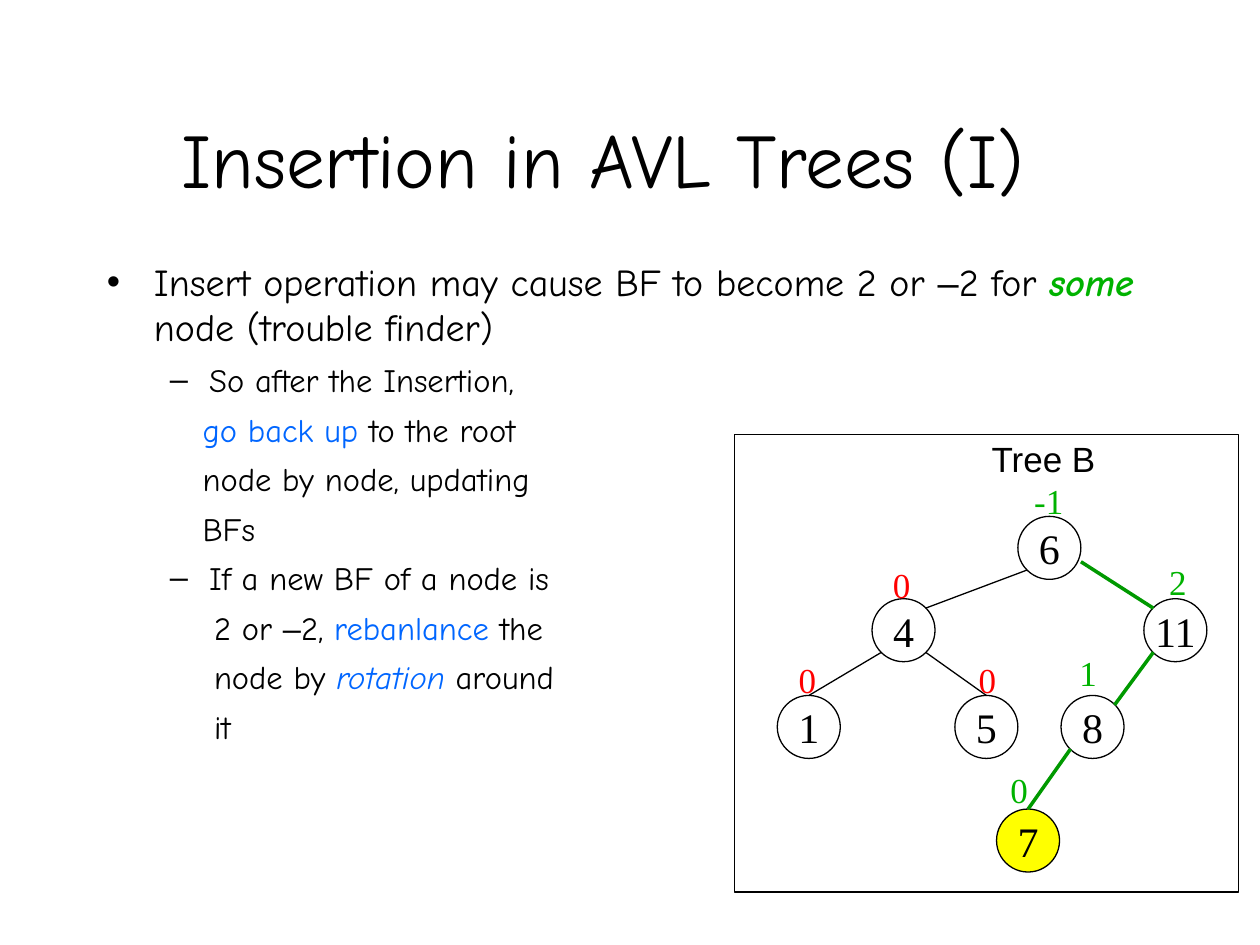
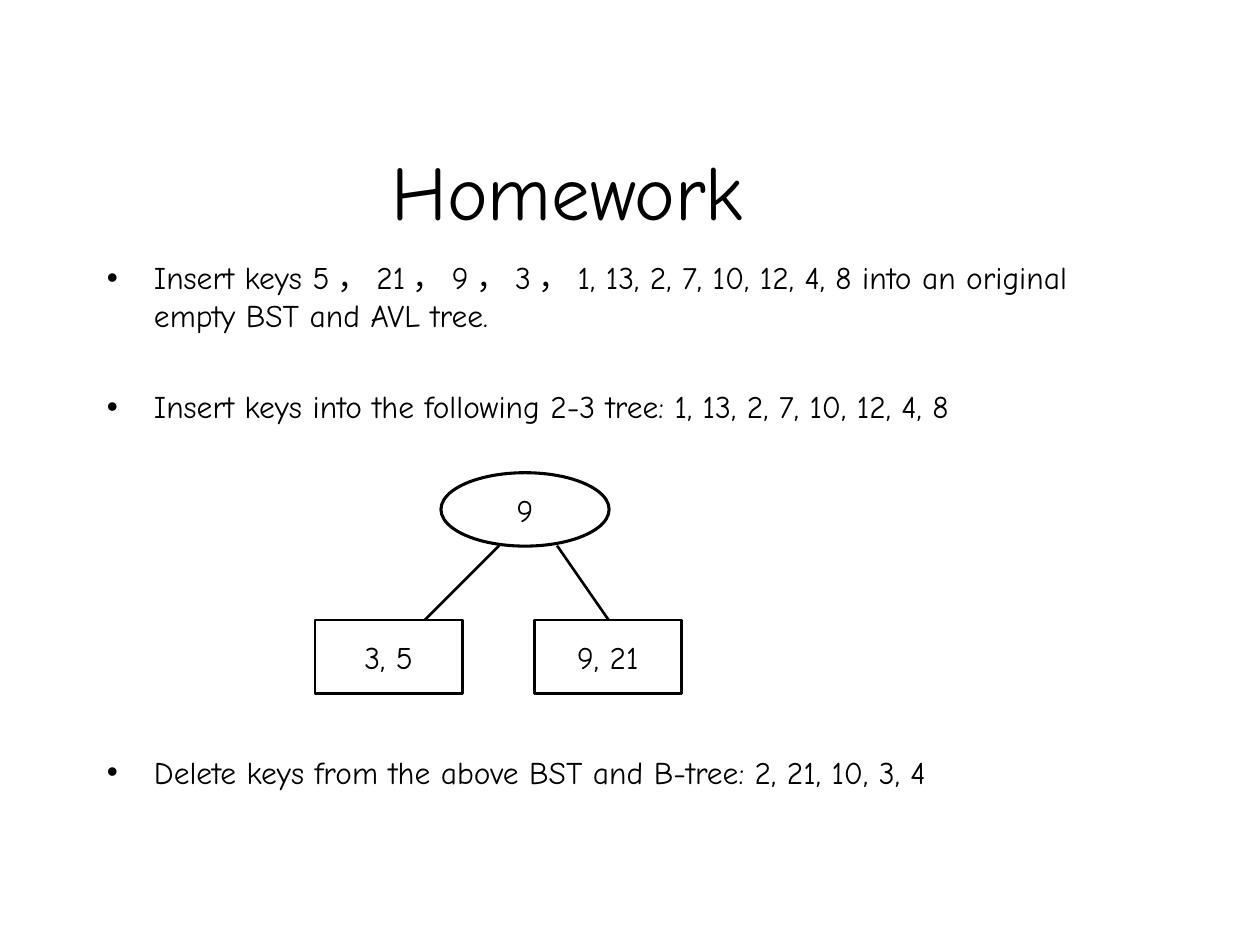
"""Build two lecture slides on AVL insertion and search tree homework."""
from pptx import Presentation
from pptx.dml.color import RGBColor
from pptx.enum.shapes import MSO_CONNECTOR as Connector, MSO_SHAPE as Shape
from pptx.enum.text import MSO_ANCHOR as Anchor, MSO_AUTO_SIZE as AutoSize, PP_ALIGN as Align
from pptx.oxml.ns import qn
from pptx.util import Cm, Pt
from lxml.etree import SubElement

colour = RGBColor.from_string
BLACK, RED, BLUE = "000000", "FF0000", "0066FF"
GREEN, PATH_GREEN, YELLOW = "00B200", "009900", "FFFF00"
HAND, SERIF, SANS = "Comic Neue", "Times New Roman", "Arial"


def add_outlined(page, kind, place, line_width, text="", font=HAND, size=18, fill=None):
    """Add an outlined shape with centred text."""
    shape = page.shapes.add_shape(kind, *[Cm(value) for value in place])
    shape.shadow.inherit = False
    shape.line.color.rgb = colour(BLACK)
    shape.line.width = Pt(line_width)
    if fill:
        shape.fill.solid()
        shape.fill.fore_color.rgb = colour(fill)
    else:
        shape.fill.background()
    if text:
        frame = shape.text_frame
        frame.word_wrap = font == HAND
        frame.vertical_anchor = Anchor.MIDDLE
        para = frame.paragraphs[0]
        para.text = text
        para.alignment = Align.CENTER
        para.font.name, para.font.size = font, Pt(size)
        para.font.color.rgb = colour(BLACK)


def add_edge(page, start, end, line_width, line_colour=BLACK):
    """Add a straight tree edge between two points."""
    edge = page.shapes.add_connector(
        Connector.STRAIGHT, *[Cm(value) for value in (*start, *end)])
    edge.line.color.rgb = colour(line_colour)
    edge.line.width = Pt(line_width)
    SubElement(edge._element.spPr, qn("a:effectLst"))


deck = Presentation()
deck.slide_width, deck.slide_height = Cm(25.4), Cm(19.05)

MAIN = (0.95, -0.95, "•")
SUB = (2.06, -0.79, "–")
AFTER_INSERT = (1.93, 0, None)
NEW_BF = (2.16, 0, None)
HOMEWORK_LINE = 26.1
dash = ("–", {"name": SANS})
blue = {"colour": BLUE}
avl_rows = [
    (MAIN, 0, 21.7, [("Insert operation may cause BF to become 2 or ", {}), dash, ("2 for ", {}),
                     ("some", {"colour": GREEN, "bold": True, "italic": True}),
                     (" node (trouble finder)", {})]),
    (SUB, 6, 18.6, [("So after the Insertion,", {})]),
    (AFTER_INSERT, 6, 18.6, [("go back up", blue), (" to the root", {})]),
    (AFTER_INSERT, 6, 18.6, [("node by node, updating", {})]),
    (AFTER_INSERT, 6, 18.6, [("BFs", {})]),
    (SUB, 6, 18.6, [("If a new BF of a node is", {})]),
    (NEW_BF, 6, 18.6, [("2 or ", {}), dash, ("2, ", {}), ("rebanlance", blue), (" the", {})]),
    (NEW_BF, 6, 18.6, [("node by ", {}), ("rotation ", {"colour": BLUE, "italic": True}),
                       ("around", {})]),
    (NEW_BF, 6, 18.6, [("it", {})]),
]
homework_rows = [
    (MAIN, 0, 18, [("Insert keys 5，21，9，3，1, 13, 2, 7, 10, 12, 4, 8 into an original "
                    "empty BST and AVL tree.", {})]),
    (MAIN, HOMEWORK_LINE + 4.5, 18,
     [("Insert keys into the following 2-3 tree: 1, 13, 2, 7, 10, 12, 4, 8", {})]),
    (MAIN, 7 * HOMEWORK_LINE + 4.5, 18,
     [("Delete keys from the above BST and B-tree: 2, 21, 10, 3, 4", {})]),
]

pages = []
for heading, title_width, title_height, body_height, rows in (
        ("Insertion in AVL Trees (I)", 20.52, 3.81, 10.16, avl_rows),
        ("Homework", 19.08, 4.45, 12.7, homework_rows)):
    page = deck.slides.add_slide(deck.slide_layouts[1])
    pages.append(page)
    title, body = page.shapes.title, page.placeholders[1]
    title.left, title.top = Cm(1.9), Cm(0.43)
    title.width, title.height = Cm(title_width), Cm(title_height)
    body.left, body.top, body.width, body.height = Cm(1.9), Cm(5.08), Cm(21.39), Cm(body_height)
    title.text_frame.vertical_anchor = Anchor.BOTTOM
    for box in (title, body):
        box.text_frame.auto_size = AutoSize.NONE
        box.text_frame.word_wrap = True
    para = title.text_frame.paragraphs[0]
    para.text = heading
    para.alignment = Align.CENTER
    para.font.name, para.font.size = HAND, Pt(44)
    para.font.color.rgb = colour(BLACK)

    for index, ((margin, indent, bullet), before, size, spans) in enumerate(rows):
        para = body.text_frame.paragraphs[0] if index == 0 else body.text_frame.add_paragraph()
        para.level = 0 if margin == MAIN[0] else 1
        properties = para._p.get_or_add_pPr()
        properties.set("marL", str(Cm(margin)))
        properties.set("indent", str(Cm(indent)))
        if bullet:
            SubElement(properties, qn("a:buChar")).set("char", bullet)
        else:
            SubElement(properties, qn("a:buNone"))
        para.space_before = Pt(before)
        para.font.size, para.font.name = Pt(size), HAND
        para.font.color.rgb = colour(BLACK)
        for text, style in spans:
            span = para.add_run()
            span.text = text
            if "name" in style:
                span.font.name = style["name"]
            if "colour" in style:
                span.font.color.rgb = colour(style["colour"])
            span.font.bold = style.get("bold")
            span.font.italic = style.get("italic")

avl_page, homework_page = pages

add_outlined(avl_page, Shape.RECTANGLE, (14.81, 8.76, 10.16, 9.22), 1)
DIAMETER = 1.27
NORTH, NORTH_EAST, NORTH_WEST = (0.5, 0), (0.85, 0.15), (0.15, 0.15)
SOUTH_EAST, SOUTH_WEST, EAST = (0.85, 0.85), (0.15, 0.85), (1, 0.72)
nodes = {
    "6": (20.52, 10.41), "4": (17.58, 12.07), "11": (23.06, 12.07), "1": (15.67, 14.02),
    "5": (19.25, 14.02), "8": (21.39, 14.02), "7": (20.09, 16.31),
}
edges = [
    ("6", SOUTH_WEST, "4", NORTH_EAST), ("6", EAST, "11", NORTH_WEST),
    ("4", SOUTH_WEST, "1", NORTH), ("4", SOUTH_EAST, "5", NORTH),
    ("11", SOUTH_WEST, "8", NORTH_EAST), ("8", SOUTH_WEST, "7", NORTH),
]
insertion_path = {"6", "11", "8", "7"}
for key, corner in nodes.items():
    add_outlined(avl_page, Shape.OVAL, (*corner, DIAMETER, DIAMETER), 0.75, key, SERIF, 24,
                 YELLOW if key == "7" else None)
for parent, parent_site, child, child_site in edges:
    start, end = [[edge + DIAMETER * part for edge, part in zip(nodes[key], site)]
                  for key, site in ((parent, parent_site), (child, child_site))]
    if child in insertion_path:
        add_edge(avl_page, start, end, 2, PATH_GREEN)
    else:
        add_edge(avl_page, start, end, 0.75)

balance_factors = [
    ("6", "-1", 0.08, -0.86), ("4", "0", 0.17, -0.84), ("11", "2", 0.26, -0.89),
    ("1", "0", 0.18, -0.86), ("5", "0", 0.23, -0.86), ("8", "1", 0.12, -1.02),
    ("7", "0", 0.03, -0.94),
]
labels = [("Tree B", 19.74, 8.69, 4.65, SANS, BLACK)]
for key, factor, right, down in balance_factors:
    left, top = nodes[key]
    labels.append((factor, left + right, top + down, 1.09 if key == "6" else 0.86, SERIF,
                   GREEN if key in insertion_path else RED))
for text, left, top, width, font, text_colour in labels:
    box = avl_page.shapes.add_textbox(Cm(left), Cm(top), Cm(width), Cm(1.12))
    box.text_frame.word_wrap = font == SANS
    para = box.text_frame.paragraphs[0]
    para.text = text
    para.font.name, para.font.size = font, Pt(20)
    para.font.color.rgb = colour(text_colour)

add_outlined(homework_page, Shape.OVAL, (8.89, 9.53, 3.39, 1.48), 1.75, "9")
for keys, left, start_x, end_x in (("3, 5", 6.35, 10.06, 8.56), ("9, 21", 10.77, 11.23, 12.27)):
    add_edge(homework_page, (start_x, 11), (end_x, 12.5), 1.5)
    add_outlined(homework_page, Shape.RECTANGLE, (left, 12.5, 2.97, 1.48), 1.5, keys)

deck.save("out.pptx")
